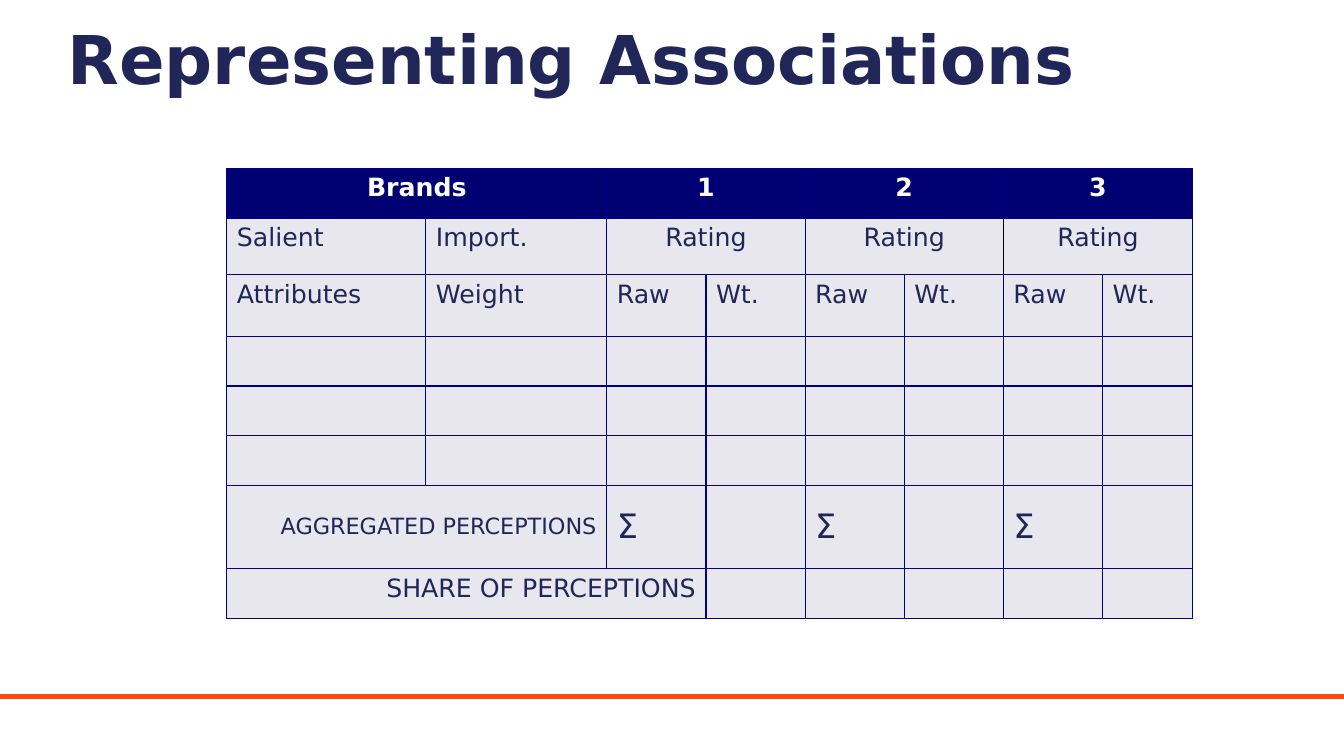
"""Build the Representing Associations slide: a brand perception table."""
from dataclasses import dataclass

from lxml.etree import SubElement
from pptx import Presentation
from pptx.dml.color import RGBColor as RGB
from pptx.enum.shapes import MSO_CONNECTOR as Connector
from pptx.enum.text import MSO_ANCHOR as Anchor, PP_ALIGN as Align
from pptx.oxml.ns import qn
from pptx.util import Inches, Length, Pt


@dataclass(frozen=True)
class Theme:
    font: str = "DejaVu Sans"
    ink: str = "212659"
    white: str = "FFFFFF"
    header: str = "000073"
    body: str = "E7E7ED"
    border: str = "000082"
    divider: str = "000000"
    rule: str = "FF4A00"
    title_size: int = 48
    sigma_size: int = 24
    text_size: int = 18
    total_size: int = 16


@dataclass(frozen=True)
class Entry:
    row: int
    col: int
    text: str
    span: int = 1
    align: Align = Align.LEFT
    size: int = Theme.text_size
    anchor: Anchor = Anchor.TOP


THEME = Theme()
WIDTH, HEIGHT = Inches(13.33), Inches(7.5)
COLUMNS = [14.81, 13.46] + [7.38] * 5 + [6.7]
ROWS = [6.56, 7.53, 8.15] + [6.56] * 3 + [11.07, 6.56]
HEADER, RATING, LABELS, AGGREGATE, SHARE = 0, 1, 2, 6, 7
BRAND_COLUMNS = {"1": 2, "2": 4, "3": 6}
DIVIDER_COLUMN = BRAND_COLUMNS["3"]


def across(percent: float) -> Length:
    """Turn a percentage of the slide width into a length."""
    return Length(round(WIDTH * percent / 100))


def down(percent: float) -> Length:
    """Turn a percentage of the slide height into a length."""
    return Length(round(HEIGHT * percent / 100))


def table_entries() -> list[Entry]:
    """List the table's texts, repeating the rating block for each brand."""
    entries = [
        Entry(HEADER, 0, "Brands", 2, Align.CENTER),
        Entry(RATING, 0, "Salient"),
        Entry(RATING, 1, "Import."),
        Entry(LABELS, 0, "Attributes"),
        Entry(LABELS, 1, "Weight"),
        Entry(AGGREGATE, 0, "AGGREGATED PERCEPTIONS", 2, Align.RIGHT,
              THEME.total_size, Anchor.MIDDLE),
        Entry(SHARE, 0, "SHARE OF PERCEPTIONS", 3, Align.RIGHT),
    ]
    for brand, col in BRAND_COLUMNS.items():
        entries += [
            Entry(HEADER, col, brand, 2, Align.CENTER),
            Entry(RATING, col, "Rating", 2, Align.CENTER),
            Entry(LABELS, col, "Raw"),
            Entry(LABELS, col + 1, "Wt."),
            Entry(AGGREGATE, col, "Σ", size=THEME.sigma_size, anchor=Anchor.MIDDLE),
        ]
    return entries


def set_font(p, size: int, color: str, bold: bool = False) -> None:
    """Style a whole paragraph."""
    p.font.name, p.font.size, p.font.bold = THEME.font, Pt(size), bold
    p.font.color.rgb = RGB.from_string(color)


def set_borders(cell, colors: dict[str, str]) -> None:
    """Give a cell one-point borders in the colour named for each side."""
    tc_pr = cell._tc.get_or_add_tcPr()
    for side, color in colors.items():
        line = SubElement(tc_pr, qn(f"a:ln{side}"), w=str(Pt(1)))
        fill = SubElement(line, qn("a:solidFill"))
        SubElement(fill, qn("a:srgbClr"), val=color)


def border_colors(row: int, col: int) -> dict[str, str]:
    """Choose the border colours for a place in the table."""
    colors = dict.fromkeys("LRTB", THEME.border)
    if row == RATING and col == DIVIDER_COLUMN:
        colors["L"] = THEME.divider
    elif row == RATING and DIVIDER_COLUMN - 2 <= col < DIVIDER_COLUMN:
        colors["R"] = THEME.divider
    return colors


def add_rule(s) -> None:
    """Draw the full-width rule near the foot of the slide."""
    y = down(92.13)
    rule = s.shapes.add_connector(Connector.STRAIGHT, 0, y, WIDTH, y)
    rule.line.color.rgb = RGB.from_string(THEME.rule)
    rule.line.width = Pt(3)
    SubElement(rule._element.spPr, qn("a:effectLst"))


def add_title(s, text: str) -> None:
    """Write the slide title."""
    sp = s.shapes.add_textbox(across(4.58), down(1.07), across(93.08), down(11.07))
    tf = sp.text_frame
    tf.word_wrap = True
    tf.margin_left, tf.margin_top = across(0.45), down(1.2)
    p = tf.paragraphs[0]
    p.text = text
    set_font(p, THEME.title_size, THEME.ink, bold=True)


def add_table(s, entries: list[Entry]) -> None:
    """Draw the perception table and fill in its entries."""
    table = s.shapes.add_table(len(ROWS), len(COLUMNS), across(16.88), down(22.27),
                               across(sum(COLUMNS)), down(sum(ROWS))).table
    table.first_row = table.horz_banding = False
    for column, share in zip(table.columns, COLUMNS):
        column.width = across(share)
    for row, share in zip(table.rows, ROWS):
        row.height = down(share)
    for row in range(len(ROWS)):
        for col in range(len(COLUMNS)):
            cell = table.cell(row, col)
            set_borders(cell, border_colors(row, col))
            cell.fill.solid()
            cell.fill.fore_color.rgb = RGB.from_string(
                THEME.header if row == HEADER else THEME.body)
    for e in entries:
        cell = table.cell(e.row, e.col)
        if e.span > 1:
            cell.merge(table.cell(e.row, e.col + e.span - 1))
        cell.vertical_anchor = e.anchor
        p = cell.text_frame.paragraphs[0]
        p.text, p.alignment = e.text, e.align
        is_header = e.row == HEADER
        set_font(p, e.size, THEME.white if is_header else THEME.ink, is_header)


def main() -> None:
    """Assemble and save the slide."""
    prs = Presentation()
    prs.slide_width, prs.slide_height = WIDTH, HEIGHT
    s = prs.slides.add_slide(prs.slide_layouts[6])
    add_rule(s)
    add_title(s, "Representing Associations")
    add_table(s, table_entries())
    prs.save("out.pptx")


if __name__ == "__main__":
    main()
